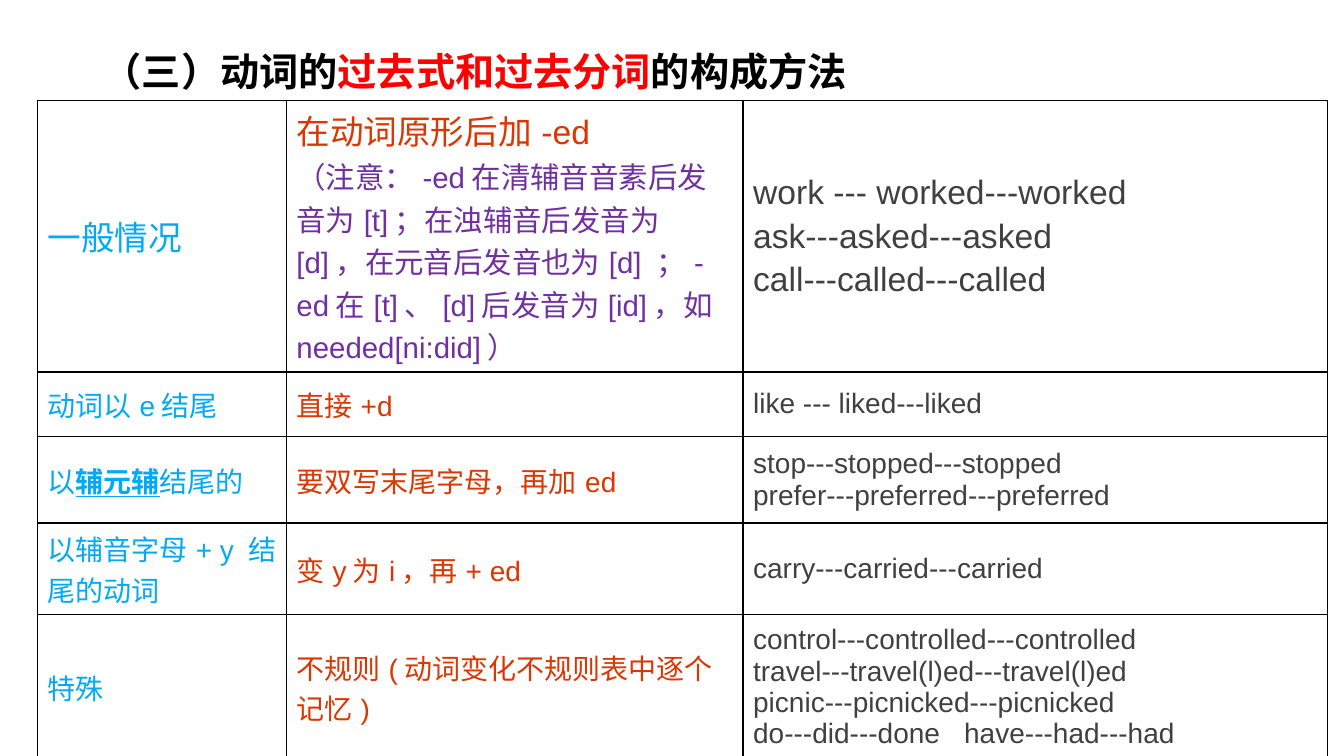
from dataclasses import dataclass

from pptx import Presentation
from pptx.dml.color import RGBColor as Rgb
from pptx.enum.text import MSO_ANCHOR as Anchor, MSO_AUTO_SIZE as Fit, PP_ALIGN as Align
from pptx.oxml.ns import qn
from pptx.util import Emu, Inches, Pt
from lxml.etree import SubElement as Sub

BLUE, RED, PURPLE, GREY = "03A9F5", "DC3602", "7030A0", "404040"
BLACK, WHITE, BRIGHT = "000000", "FFFFFF", "FF0000"

deck = Presentation()
deck.slide_width, deck.slide_height = Inches(13.33), Inches(7.5)


@dataclass
class Run:
    text: str
    color: str
    size: int = 20
    strong: bool = False
    under: bool = False
    face: str = "Arial"


@dataclass
class Para:
    runs: list[Run]
    gap: int = 0
    tab: float = 0


@dataclass
class Row:
    share: float
    cells: list[list[Para]]


# Lengths are percent shares of the slide
def across(share: float) -> Emu:
    return Emu(round(deck.slide_width * share / 100))


def down(share: float) -> Emu:
    return Emu(round(deck.slide_height * share / 100))


def shade(code: str) -> Rgb:
    return Rgb.from_string(code)


def lines(color: str, *texts: str, size: int = 20, gap: int = 0) -> list[Para]:
    return [Para([Run(text, color, size)], gap if i else 0)
            for i, text in enumerate(texts)]


def write(frame, paras: list[Para]) -> None:
    for i, para in enumerate(paras):
        line = frame.add_paragraph() if i else frame.paragraphs[0]
        line.alignment = Align.LEFT
        if para.gap:
            line.space_before = Pt(para.gap)
        if para.tab:
            stops = Sub(line._p.get_or_add_pPr(), qn("a:tabLst"))
            Sub(stops, qn("a:tab"), pos=str(across(para.tab)), algn="l")
        for part in para.runs:
            run = line.add_run()
            run.text = part.text
            font = run.font
            font.name, font.size = part.face, Pt(part.size)
            font.bold, font.underline = part.strong, part.under
            font.color.rgb = shade(part.color)


def frame_cell(cell) -> None:
    props = cell._tc.get_or_add_tcPr()
    for side in ("lnL", "lnR", "lnT", "lnB"):
        edge = Sub(props, qn(f"a:{side}"), w=str(Pt(1)))
        Sub(Sub(edge, qn("a:solidFill")), qn("a:srgbClr"), val=BLACK)
    cell.fill.solid()
    cell.fill.fore_color.rgb = shade(WHITE)
    cell.vertical_anchor = Anchor.MIDDLE


def draw_table(slide, left: float, top: float, cols: list[float], rows: list[Row]) -> None:
    table = slide.shapes.add_table(
        len(rows), len(cols), across(left), down(top),
        across(sum(cols)), down(sum(row.share for row in rows))).table
    table.first_row = table.horz_banding = False
    for col, share in zip(table.columns, cols):
        col.width = across(share)
    for i, row in enumerate(rows):
        table.rows[i].height = down(row.share)
        for j, paras in enumerate(row.cells):
            cell = table.cell(i, j)
            frame_cell(cell)
            write(cell.text_frame, paras)


def draw_title(slide, runs: list[Run]) -> None:
    title = slide.shapes.title
    title.left, title.top = across(6.9), down(5.6)
    title.width, title.height = across(76.3), down(7.6)
    frame = title.text_frame
    frame.word_wrap, frame.auto_size = True, Fit.SHAPE_TO_FIT_TEXT
    frame.vertical_anchor = Anchor.MIDDLE
    write(frame, [Para(runs)])


# Verb rules: ending, change, examples
RULES = [
    Row(35.87, [
        lines(BLUE, "一般情况", size=24),
        lines(RED, "在动词原形后加-ed", size=24)
        + lines(PURPLE, "（注意：-ed在清辅音音素后发音为[t]；在浊辅音后发音为[d]，"
                "在元音后发音也为[d] ；-ed在[t]、[d]后发音为[id]，"
                "如needed[ni:did]）", size=21),
        lines(GREY, "work --- worked---worked", "ask---asked---asked",
              "call---called---called", size=24, gap=4)]),
    Row(8.53, [
        lines(BLUE, "动词以e结尾"),
        lines(RED, "直接+d"),
        lines(GREY, "like --- liked---liked")]),
    Row(11.47, [
        [Para([Run("以", BLUE), Run("辅元辅", BLUE, strong=True, under=True),
               Run("结尾的", BLUE)])],
        lines(RED, "要双写末尾字母，再加ed"),
        lines(GREY, "stop---stopped---stopped", "prefer---preferred---preferred")]),
    Row(12.13, [
        lines(BLUE, "以辅音字母+ y 结尾的动词"),
        lines(RED, "变y为i，再+ ed"),
        lines(GREY, "carry---carried---carried")]),
    Row(18.4, [
        lines(BLUE, "特殊"),
        lines(RED, "不规则(动词变化不规则表中逐个记忆)"),
        lines(GREY, "control---controlled---controlled",
              "travel---travel(l)ed---travel(l)ed", "picnic---picnicked---picnicked")
        + [Para([Run("do---did---done\thave---had---had", GREY)], tab=15.7)]]),
]

# Title, then table
slide = deck.slides.add_slide(deck.slide_layouts[5])
draw_title(slide, [Run(text, color, 28, strong=True, face="Calibri") for text, color in (
    ("（三）动词的", BLACK), ("过去式和过去分词", BRIGHT), ("的构成方法", BLACK))])
draw_table(slide, 2.78, 13.33, [18.53, 33.98, 43.51], RULES)

deck.save("out.pptx")
